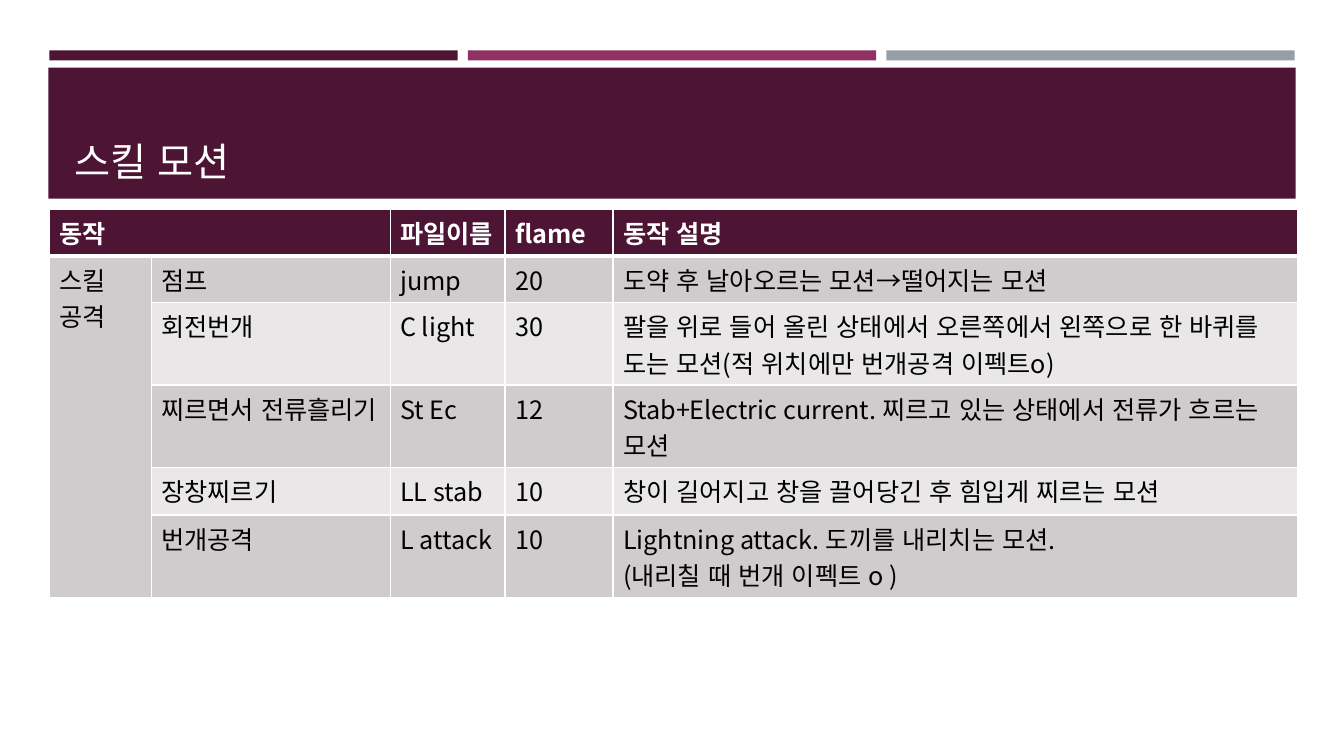
from dataclasses import dataclass

from lxml import etree
from pptx import Presentation
from pptx.dml.color import RGBColor
from pptx.enum.lang import MSO_LANGUAGE_ID
from pptx.enum.shapes import MSO_SHAPE
from pptx.enum.text import MSO_ANCHOR
from pptx.oxml.ns import qn
from pptx.util import Inches, Pt

RECTANGLE = MSO_SHAPE.RECTANGLE
BOTTOM = MSO_ANCHOR.BOTTOM
KOREAN = MSO_LANGUAGE_ID.KOREAN


@dataclass(frozen=True)
class Theme:
    font: str = "Noto Sans CJK KR"
    plum: str = "4D1434"
    magenta: str = "903163"
    gray: str = "969FA7"
    odd_row: str = "D0CCCE"
    even_row: str = "E9E7E8"
    white: str = "FFFFFF"
    black: str = "000000"
    title_size: int = 28
    table_size: int = 18


THEME = Theme()
COLUMN_WIDTHS = (1.01, 2.37, 1.14, 1.07, 6.79)
ROW_HEIGHTS = (0.46, 0.46, 0.82, 0.82, 0.47, 0.82)
HEADER = ("동작", "", "파일이름", "flame", "동작 설명")
SKILLS = (
    ("스킬\n공격", "점프", "jump", "20", "도약 후 날아오르는 모션→떨어지는 모션"),
    ("", "회전번개", "C light", "30",
     "팔을 위로 들어 올린 상태에서 오른쪽에서 왼쪽으로 한 바퀴를 도는 모션(적 위치에만 번개공격 이펙트o)"),
    ("", "찌르면서 전류흘리기", "St Ec", "12",
     "Stab+Electric current. 찌르고 있는 상태에서 전류가 흐르는 모션"),
    ("", "장창찌르기", "LL stab", "10", "창이 길어지고 창을 끌어당긴 후 힘입게 찌르는 모션"),
    ("", "번개공격", "L attack", "10",
     "Lightning attack. 도끼를 내리치는 모션.\n(내리칠 때 번개 이펙트 o )"),
)


def add_bar(slide, left, top, width, height, color):
    shape = slide.shapes.add_shape(
        RECTANGLE, Inches(left), Inches(top), Inches(width), Inches(height))
    shape.shadow.inherit = False
    shape.fill.solid()
    shape.fill.fore_color.rgb = RGBColor.from_string(color)
    shape.line.fill.background()


def write_text(text_frame, text, size, color, bold=False):
    for index, line in enumerate(text.split("\n")):
        paragraph = text_frame.add_paragraph() if index else text_frame.paragraphs[0]
        run = paragraph.add_run()
        run.text = line
        font = run.font
        font.name = THEME.font
        font.size = Pt(size)
        font.bold = bold
        font.language_id = KOREAN
        font.color.rgb = RGBColor.from_string(color)
        properties = run._r.get_or_add_rPr()
        etree.SubElement(properties, qn("a:ea"), typeface=THEME.font)


def add_title(slide, text):
    box = slide.shapes.add_textbox(Inches(0.64), Inches(0.77), Inches(12.06), Inches(1.11))
    text_frame = box.text_frame
    text_frame.word_wrap = True
    text_frame.vertical_anchor = BOTTOM
    write_text(text_frame, text, THEME.title_size, THEME.white)


def set_borders(cell, top, bottom):
    properties = cell._tc.get_or_add_tcPr()
    widths = (("L", 1), ("R", 1), ("T", top), ("B", bottom))
    for index, (side, width) in enumerate(widths):
        line = etree.Element(qn(f"a:ln{side}"), w=str(Pt(width)))
        fill = etree.SubElement(line, qn("a:solidFill"))
        etree.SubElement(fill, qn("a:srgbClr"), val=THEME.white)
        properties.insert(index, line)


def row_style(row):
    if row == 0:
        return THEME.plum, THEME.white
    return (THEME.odd_row if row % 2 else THEME.even_row), THEME.black


def add_skill_table(slide):
    rows = (HEADER, *SKILLS)
    frame = slide.shapes.add_table(
        len(rows), len(HEADER), Inches(0.49), Inches(2.08),
        Inches(sum(COLUMN_WIDTHS)), Inches(sum(ROW_HEIGHTS)))
    table = frame.table
    for column, width in zip(table.columns, COLUMN_WIDTHS):
        column.width = Inches(width)
    for row, height in zip(table.rows, ROW_HEIGHTS):
        row.height = Inches(height)
    table.cell(0, 0).merge(table.cell(0, 1))
    table.cell(1, 0).merge(table.cell(len(SKILLS), 0))
    for row_index, texts in enumerate(rows):
        fill_color, text_color = row_style(row_index)
        for column_index, text in enumerate(texts):
            cell = table.cell(row_index, column_index)
            cell.fill.solid()
            cell.fill.fore_color.rgb = RGBColor.from_string(fill_color)
            set_borders(cell, 3 if row_index == 1 else 1, 3 if row_index == 0 else 1)
            if text:
                write_text(cell.text_frame, text, THEME.table_size, text_color, row_index == 0)


def main():
    presentation = Presentation()
    presentation.slide_width = Inches(13.33)
    presentation.slide_height = Inches(7.5)
    slide = presentation.slides.add_slide(presentation.slide_layouts[6])
    for index, color in enumerate((THEME.plum, THEME.magenta, THEME.gray)):
        add_bar(slide, 0.49 + index * 4.15, 0.5, 4.05, 0.1, color)
    add_bar(slide, 0.48, 0.67, 12.37, 1.3, THEME.plum)
    add_title(slide, "스킬 모션")
    add_skill_table(slide)
    presentation.save("out.pptx")


if __name__ == "__main__":
    main()
